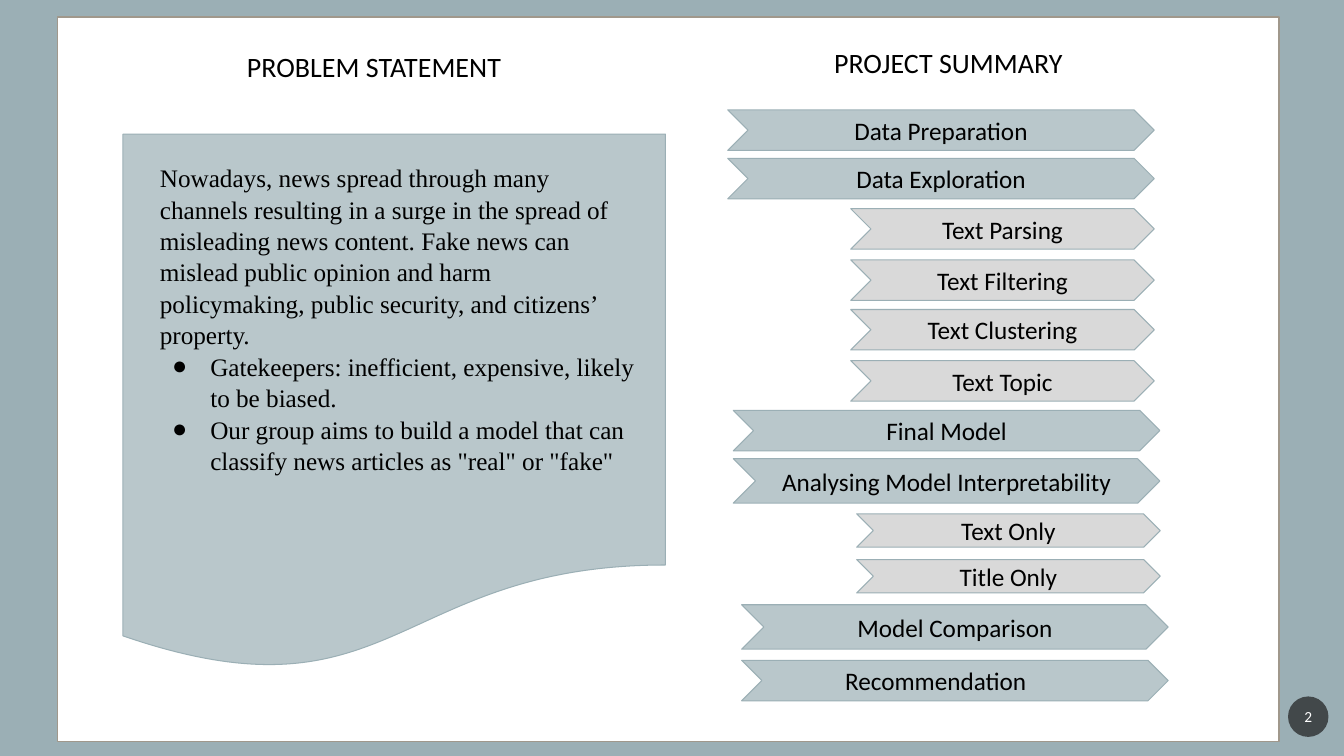
import pptx
import pptx.dml.color
import pptx.enum.shapes
import pptx.enum.text
import pptx.oxml
import pptx.oxml.ns
import pptx.util
from dataclasses import dataclass

Cm = pptx.util.Cm
Pt = pptx.util.Pt
RGB = pptx.dml.color.RGBColor.from_string
Kind = pptx.enum.shapes.MSO_SHAPE
Align = pptx.enum.text.PP_ALIGN
Anchor = pptx.enum.text.MSO_ANCHOR


@dataclass(frozen=True)
class Theme:
    back: str = "9BAFB5"
    panel: str = "FFFFFF"
    frame: str = "A0988C"
    edge: str = "9BAFB5"
    main: tuple = ("B9C7CB", "B7C5C9")
    sub: str = "D9D9D9"
    badge: str = "1D1D1D"
    ink: str = "000000"
    sans: str = "Calibri"
    serif: str = "Times New Roman"
    head: int = 20
    body: int = 18
    small: int = 11


THEME = Theme()
WIDE, SLIM = 10.75, 7.65

# Label, left, top, height in cm, and whether it is a main step
STEPS = [
    ("Data Preparation", 18.34, 2.77, 1.02, True),
    ("Data Exploration", 18.34, 3.99, 1.02, True),
    ("Text Parsing", 21.44, 5.26, 1.02, False),
    ("Text Filtering", 21.44, 6.55, 1.02, False),
    ("Text Clustering", 21.44, 7.8, 1.02, False),
    ("Text Topic", 21.44, 9.09, 1.02, False),
    ("Final Model", 18.48, 10.34, 1.02, True),
    ("Analysing Model Interpretability", 18.48, 11.56, 1.12, True),
    ("Text Only", 21.59, 12.95, 0.84, False),
    ("Title Only", 21.59, 14.1, 0.84, False),
    ("Model Comparison", 18.69, 15.24, 1.12, True),
    ("Recommendation", 18.69, 16.64, 1.02, True),
]

INTRO = ("Nowadays, news spread through many channels resulting in a surge in "
         "the spread of misleading news content. Fake news can mislead public "
         "opinion and harm policymaking, public security, and citizens’ property.")
POINTS = [
    "Gatekeepers: inefficient, expensive, likely to be biased.",
    "Our group aims to build a model that can classify news articles as "
    "\"real\" or \"fake\"",
]


def style(para, font, size, color=THEME.ink, align=Align.LEFT):
    para.alignment = align
    for run in para.runs:
        run.font.name = font
        run.font.size = Pt(size)
        run.font.color.rgb = RGB(color)


def paint(shape, fill, line=None, width=0.75):
    """Fill with one colour, or with a downward blend of two."""
    shape.shadow.inherit = False
    if isinstance(fill, tuple):
        shape.fill.gradient()
        shape.fill.gradient_angle = 270
        for stop, color in zip(shape.fill.gradient_stops, fill):
            stop.color.rgb = RGB(color)
    else:
        shape.fill.solid()
        shape.fill.fore_color.rgb = RGB(fill)
    if line:
        shape.line.color.rgb = RGB(line)
        shape.line.width = Pt(width)
    else:
        shape.line.fill.background()


def block(slide, kind, left, top, width, height):
    return slide.shapes.add_shape(kind, Cm(left), Cm(top), Cm(width), Cm(height))


def heading(shape, text, left, top, width):
    shape.left, shape.top = Cm(left), Cm(top)
    shape.width, shape.height = Cm(width), Cm(1.11)
    frame = shape.text_frame
    frame.word_wrap = True
    frame.auto_size = pptx.enum.text.MSO_AUTO_SIZE.NONE
    frame.vertical_anchor = Anchor.TOP
    frame.text = text
    style(frame.paragraphs[0], THEME.sans, THEME.head)


def step(slide, label, left, top, height, main):
    shape = block(slide, Kind.CHEVRON, left, top, WIDE if main else SLIM, height)
    paint(shape, THEME.main if main else THEME.sub, THEME.edge)
    frame = shape.text_frame
    frame.text = label
    style(frame.paragraphs[0], THEME.sans, THEME.body, align=Align.CENTER)
    return shape


def bullet(para):
    props = para._p.get_or_add_pPr()
    props.set("marL", str(Cm(1.27)))
    props.set("indent", str(-Cm(0.96)))
    space = pptx.oxml.ns.nsdecls("a")
    for xml in (f'<a:buClr {space}><a:srgbClr val="{THEME.ink}"/></a:buClr>',
                f'<a:buFont {space} typeface="{THEME.serif}"/>',
                f'<a:buChar {space} char="●"/>'):
        props.append(pptx.oxml.parse_xml(xml))


def story(slide):
    sheet = block(slide, Kind.FLOWCHART_DOCUMENT, 3.1, 3.38, 13.67, 13.54)
    paint(sheet, THEME.main, THEME.edge)
    box = slide.shapes.add_textbox(Cm(3.78), Cm(3.94), Cm(12.52), Cm(7.95))
    frame = box.text_frame
    frame.word_wrap = True
    frame.text = "\n".join([INTRO] + POINTS)
    for para in frame.paragraphs:
        style(para, THEME.serif, THEME.body)
        para.line_spacing = 1.04
    for para in frame.paragraphs[1:]:
        bullet(para)


def badge(slide, text):
    disc = block(slide, Kind.OVAL, 32.46, 17.55, 1.02, 1.02)
    paint(disc, THEME.badge)
    color = disc.fill._xPr.find(".//" + pptx.oxml.ns.qn("a:srgbClr"))
    color.append(pptx.oxml.parse_xml(
        f'<a:alpha {pptx.oxml.ns.nsdecls("a")} val="70000"/>'))
    frame = disc.text_frame
    frame.margin_left = frame.margin_right = Cm(0.05)
    frame.text = text
    style(frame.paragraphs[0], THEME.sans, THEME.small, THEME.panel, Align.CENTER)


def main():
    deck = pptx.Presentation()
    deck.slide_width, deck.slide_height = Cm(33.87), Cm(19.05)
    slide = deck.slides.add_slide(deck.slide_layouts[5])
    slide.background.fill.solid()
    slide.background.fill.fore_color.rgb = RGB(THEME.back)

    # White panel, placed behind the title
    title = slide.shapes.title
    panel = block(slide, Kind.RECTANGLE, 1.45, 0.43, 30.78, 18.26)
    paint(panel, THEME.panel, THEME.frame, 1)
    title.element.addprevious(panel.element)

    # Headings
    heading(title, "PROBLEM STATEMENT", 5.97, 1.12, 9.17)
    side = slide.shapes.add_textbox(0, 0, 0, 0)
    heading(side, "PROJECT SUMMARY", 20.77, 1.02, 7.78)

    # Problem on the left, steps on the right
    story(slide)
    for row in STEPS:
        last = step(slide, *row)
    last.text_frame.margin_left = Cm(2.1)
    last.text_frame.paragraphs[0].alignment = Align.LEFT

    # Page number
    badge(slide, "2")
    deck.save("out.pptx")


if __name__ == "__main__":
    main()
